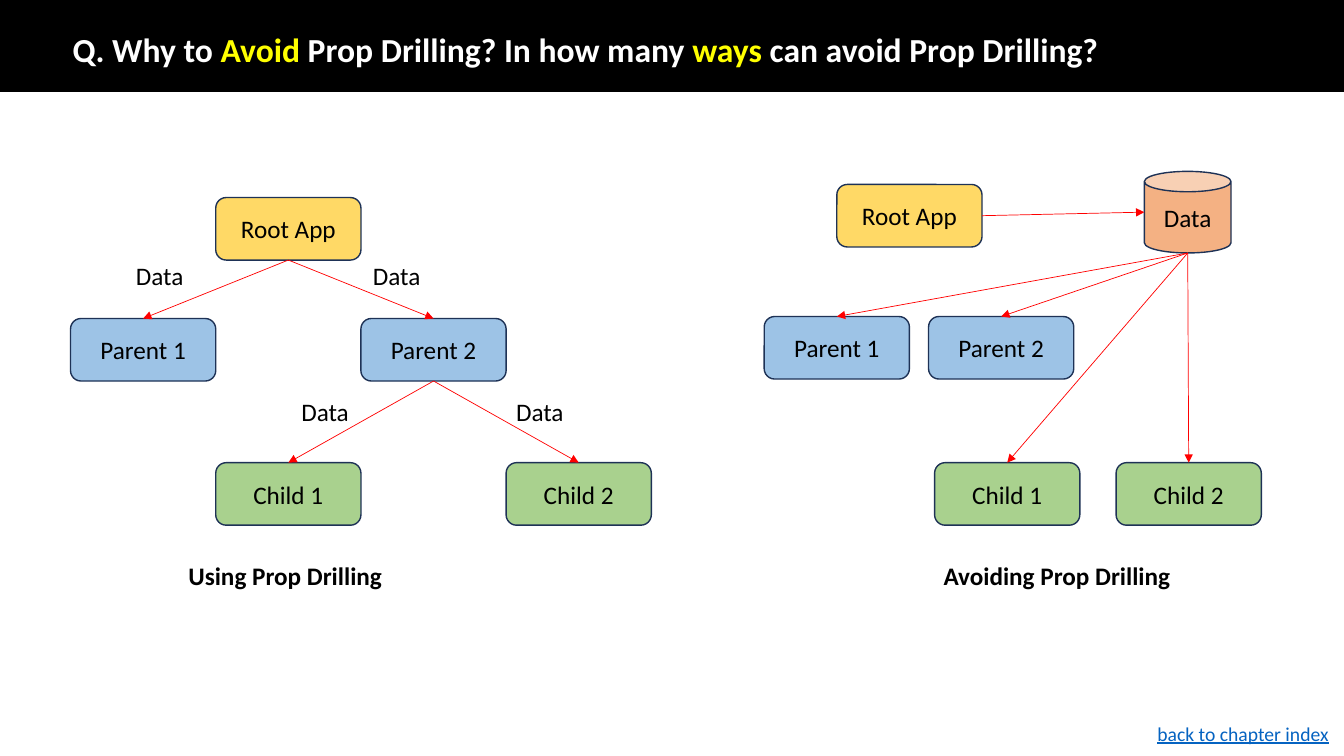
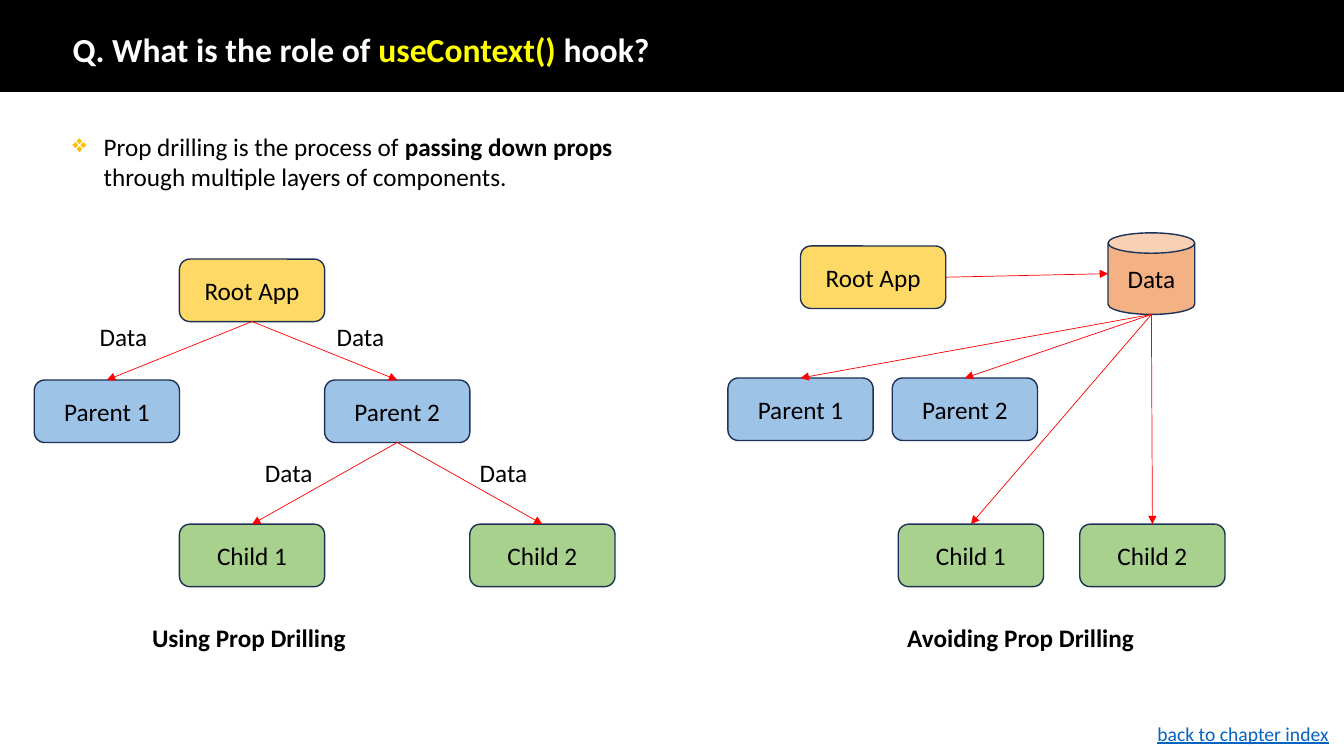
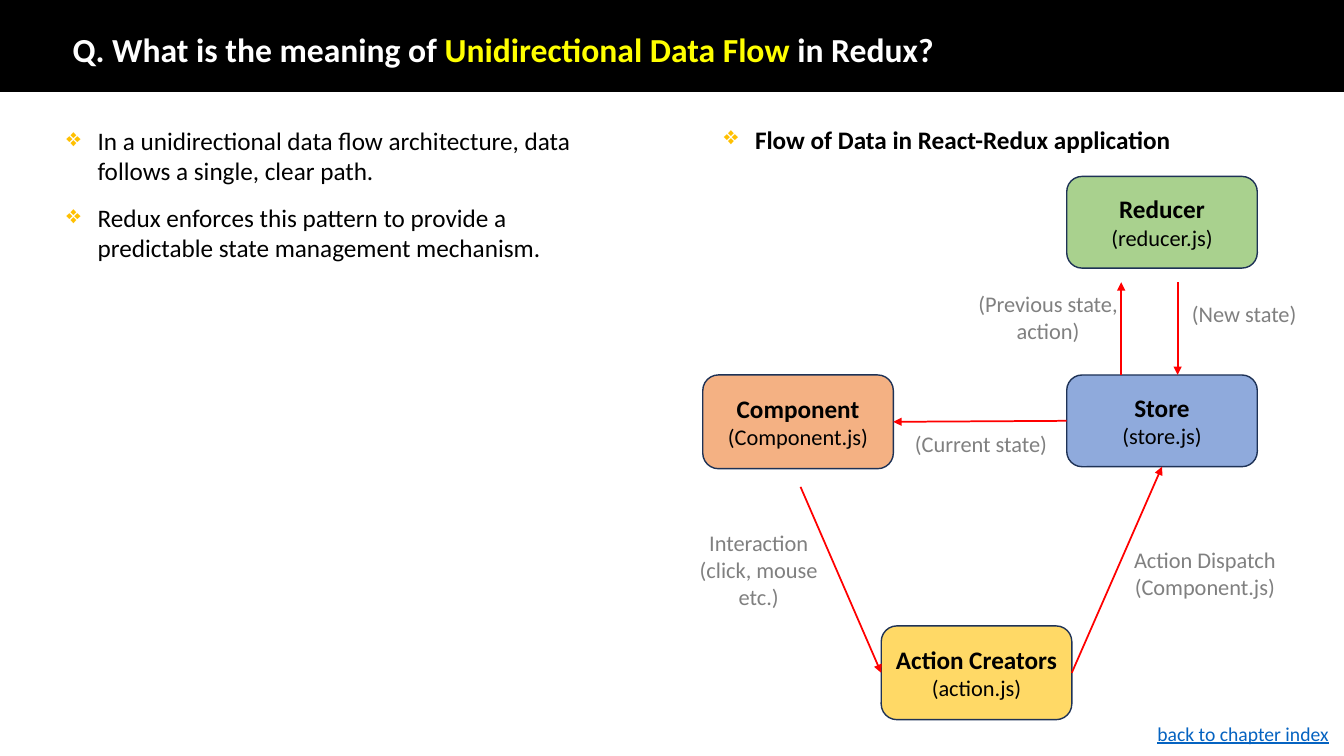
from dataclasses import dataclass

from lxml.etree import SubElement
from pptx import Presentation
from pptx.dml.color import RGBColor
from pptx.enum.shapes import MSO_CONNECTOR, MSO_SHAPE
from pptx.enum.text import MSO_ANCHOR, MSO_AUTO_SIZE, PP_ALIGN
from pptx.oxml.ns import qn
from pptx.util import Inches, Pt


@dataclass(frozen=True)
class Theme:
    font: str = "Calibri"
    title: int = 24
    body: int = 18
    small: int = 16
    footer: int = 14
    black: str = "000000"
    white: str = "FFFFFF"
    accent: str = "FFFF00"
    bullet: str = "FFC000"
    outline: str = "1E3256"
    arrow: str = "FF0000"
    grey: str = "808080"
    link: str = "0563C1"
    yellow: str = "FFD966"
    sky: str = "9DC3E6"
    blue: str = "8FAADC"
    green: str = "A9D18E"
    orange: str = "F4B183"


T = Theme()
BOLD = {"bold": True}
HOT = {"color": T.accent}
SMALL = {"size": T.small, "bold": False}
TOP, LEFT, BOTTOM, RIGHT = range(4)
SLIDE_W, SLIDE_H, BAND_H = 13.33, 7.5, 0.91
BOX_W, BOX_H = 1.44, 0.62
CAN_W, CAN_H = 0.86, 0.81
CARD_W = 1.89
TREE_LEFT = 0.7
FOOTER = "back to chapter index"

TITLES = [
    ["Q. Why to ", ("Avoid", HOT), " Prop Drilling? In how many ", ("ways", HOT),
     " can avoid Prop Drilling?"],
    ["Q. What is the role of ", ("useContext()", HOT), " hook?"],
    ["Q. What is the meaning of ", ("Unidirectional Data Flow", HOT), " in Redux?"],
]

TREE_NODES = {
    "root": ("Root App", 1, 1.96, T.yellow),
    "parent1": ("Parent 1", 0, 3.16, T.sky),
    "parent2": ("Parent 2", 2, 3.16, T.sky),
    "child1": ("Child 1", 1, 4.59, T.green),
    "child2": ("Child 2", 3, 4.59, T.green),
}
TREE_LINKS = [("root", "parent1"), ("root", "parent2"),
              ("parent2", "child1"), ("parent2", "child2")]
TREE_LABELS = [(1.25, 2.53), (3.6, 2.53), (2.89, 3.88), (5.02, 3.88)]

STORE_NODES = {
    "root": ("Root App", 8.3, 1.83, T.yellow),
    "parent1": ("Parent 1", 7.58, 3.14, T.sky),
    "parent2": ("Parent 2", 9.21, 3.14, T.sky),
    "child1": ("Child 1", 9.27, 4.59, T.green),
    "child2": ("Child 2", 11.07, 4.59, T.green),
}
DATA_AT = (11.35, 1.7)
CAPTIONS = [("Using Prop Drilling", 1.77, 2.27), ("Avoiding Prop Drilling", 9.26, 2.86)]

DRILLING_POINT = [["Prop drilling is the process of ", ("passing down props", BOLD),
                   " through multiple layers of components."]]
FLOW_POINTS = [
    ["In a unidirectional data flow architecture, data follows a single, clear path."],
    ["Redux enforces this pattern to provide a predictable state management mechanism."],
]
FLOW_HEADING = [["Flow of Data in React-Redux application"]]
FLOW_CARDS = {
    "component": ("Component", "(Component.js)", 6.97, 3.72, 0.93, T.orange),
    "action": ("Action Creators", "(action.js)", 8.74, 6.21, 0.93, T.yellow),
    "store": ("Store", "(store.js)", 10.58, 3.72, 0.91, T.blue),
    "reducer": ("Reducer", "(reducer.js)", 10.58, 1.75, 0.91, T.green),
}
FLOW_LINKS = [
    ((7.94, 4.83), ("action", LEFT)),
    (("action", RIGHT), ("store", BOTTOM)),
    (("store", LEFT), ("component", RIGHT)),
    ((11.12, 3.72), (11.12, 2.8)),
    ((11.68, 2.8), (11.68, 3.72)),
]
FLOW_LABELS = [
    (["Interaction (click, mouse etc.)"], 6.8, 5.2, 1.45, 0.91),
    (["Action Dispatch", "(Component.js)"], 10.89, 5.37, 2.12, 0.64),
    (["(Previous state, action)"], 9.53, 2.83, 1.73, 0.64),
    (["(New state)"], 11.63, 2.93, 1.42, 0.37),
    (["(Current state)"], 8.92, 4.22, 1.62, 0.37),
]


def rgb(value):
    return RGBColor.from_string(value)


def add_bullet(p):
    pPr = p._p.get_or_add_pPr()
    pPr.set("marL", str(Inches(0.31)))
    pPr.set("indent", str(-Inches(0.31)))
    SubElement(SubElement(pPr, qn("a:buClr")), qn("a:srgbClr"), val=T.bullet)
    SubElement(pPr, qn("a:buChar"), char="❖")


def write(tf, paras, align=PP_ALIGN.LEFT, bullet=False, before=0, spacing=None, **fmt):
    tf.word_wrap = True
    for i, runs in enumerate(paras):
        p = tf.paragraphs[0] if i == 0 else tf.add_paragraph()
        if bullet:
            add_bullet(p)
        p.alignment = align
        if spacing:
            p.line_spacing = spacing
        if i and before:
            p.space_before = Pt(before)
        for run in runs:
            words, own = (run, {}) if isinstance(run, str) else run
            style = {"size": T.body, "color": T.black, "bold": False,
                     "underline": None, **fmt, **own}
            r = p.add_run()
            r.text = words
            r.font.name = T.font
            r.font.size = Pt(style["size"])
            r.font.bold = style["bold"]
            r.font.underline = style["underline"]
            r.font.color.rgb = rgb(style["color"])


def add_text(s, paras, x, y, w, h, **fmt):
    sp = s.shapes.add_textbox(Inches(x), Inches(y), Inches(w), Inches(h))
    write(sp.text_frame, paras, **fmt)


def add_box(s, x, y, w, h, fill, kind=MSO_SHAPE.ROUNDED_RECTANGLE, line=T.outline, paras=()):
    sp = s.shapes.add_shape(kind, Inches(x), Inches(y), Inches(w), Inches(h))
    sp.shadow.inherit = False
    sp.fill.solid()
    sp.fill.fore_color.rgb = rgb(fill)
    sp.line.color.rgb = rgb(line)
    sp.line.width = Pt(1)
    write(sp.text_frame, paras, align=PP_ALIGN.CENTER)
    return sp


def end_point(end):
    first, second = end
    if isinstance(first, (int, float)):
        return Inches(first), Inches(second)
    fx, fy = {TOP: (0.5, 0), LEFT: (0, 0.5), BOTTOM: (0.5, 1), RIGHT: (1, 0.5)}[second]
    return int(first.left + first.width * fx), int(first.top + first.height * fy)


def can_join(end):
    return (not isinstance(end[0], (int, float))
            and end[0].auto_shape_type == MSO_SHAPE.ROUNDED_RECTANGLE)


def add_arrow(s, start, end, width=0.5):
    c = s.shapes.add_connector(MSO_CONNECTOR.STRAIGHT, *end_point(start), *end_point(end))
    if can_join(start):
        c.begin_connect(*start)
    if can_join(end):
        c.end_connect(*end)
    c.line.color.rgb = rgb(T.arrow)
    c.line.width = Pt(width)
    SubElement(c.line._get_or_add_ln(), qn("a:tailEnd"), type="triangle")
    SubElement(c._element.spPr, qn("a:effectLst"))


def new_slide(prs, title):
    s = prs.slides.add_slide(prs.slide_layouts[5])
    band = add_box(s, 0, 0, SLIDE_W, BAND_H, T.black, MSO_SHAPE.RECTANGLE, T.black)
    s.shapes._spTree.insert(2, band._element)
    sp = s.shapes.title
    sp.left, sp.top, sp.width, sp.height = map(Inches, (0.62, 0.34, 11.5, 0.35))
    tf = sp.text_frame
    tf.auto_size = MSO_AUTO_SIZE.NONE
    tf.vertical_anchor = MSO_ANCHOR.MIDDLE
    write(tf, [title], spacing=0.9, size=T.title, color=T.white, bold=True)
    add_text(s, [[FOOTER]], 11.38, 7.11, 1.95, 0.34,
             size=T.footer, color=T.link, underline=True)
    return s


def draw_drilling(s, dx=0, dy=0):
    tree = {key: add_box(s, TREE_LEFT + col * BOX_W + dx, y + dy, BOX_W, BOX_H, fill,
                         paras=[[label]])
            for key, (label, col, y, fill) in TREE_NODES.items()}
    for parent, child in TREE_LINKS:
        add_arrow(s, (tree[parent], BOTTOM), (tree[child], TOP))
    for x, y in TREE_LABELS:
        add_text(s, [["Data"]], x + dx, y + dy, 0.86, 0.4)

    store = {key: add_box(s, x + dx, y + dy, BOX_W, BOX_H, fill, paras=[[label]])
             for key, (label, x, y, fill) in STORE_NODES.items()}
    data = add_box(s, DATA_AT[0] + dx, DATA_AT[1] + dy, CAN_W, CAN_H, T.orange,
                   MSO_SHAPE.CAN, paras=[["Data"]])
    add_arrow(s, (store["root"], RIGHT), (data, LEFT))
    for key in ("parent1", "parent2", "child1", "child2"):
        add_arrow(s, (data, BOTTOM), (store[key], TOP))
    for caption, x, w in CAPTIONS:
        add_text(s, [[caption]], x + dx, 5.51 + dy, w, 0.4, bold=True)


def draw_flow(s):
    add_text(s, FLOW_POINTS, 0.56, 1.19, 5.32, 1.48, bullet=True, before=12)
    add_text(s, FLOW_HEADING, 7.08, 1.18, 5.39, 0.4, bullet=True, bold=True)
    cards = {key: add_box(s, x, y, CARD_W, h, fill, paras=[[(name, BOLD)], [(file, SMALL)]])
             for key, (name, file, x, y, h, fill) in FLOW_CARDS.items()}
    for start, end in FLOW_LINKS:
        add_arrow(s, *((cards.get(a, a), b) for a, b in (start, end)), width=1.25)
    for lines, x, y, w, h in FLOW_LABELS:
        add_text(s, [[line] for line in lines], x, y, w, h,
                 align=PP_ALIGN.CENTER, size=T.small, color=T.grey)


def main():
    prs = Presentation()
    prs.slide_width, prs.slide_height = Inches(SLIDE_W), Inches(SLIDE_H)
    avoid, context, flow = (new_slide(prs, title) for title in TITLES)
    draw_drilling(avoid)
    draw_drilling(context, dx=-0.36, dy=0.61)
    add_text(context, DRILLING_POINT, 0.62, 1.25, 5.71, 1.01, bullet=True)
    draw_flow(flow)
    prs.save("out.pptx")


if __name__ == "__main__":
    main()
